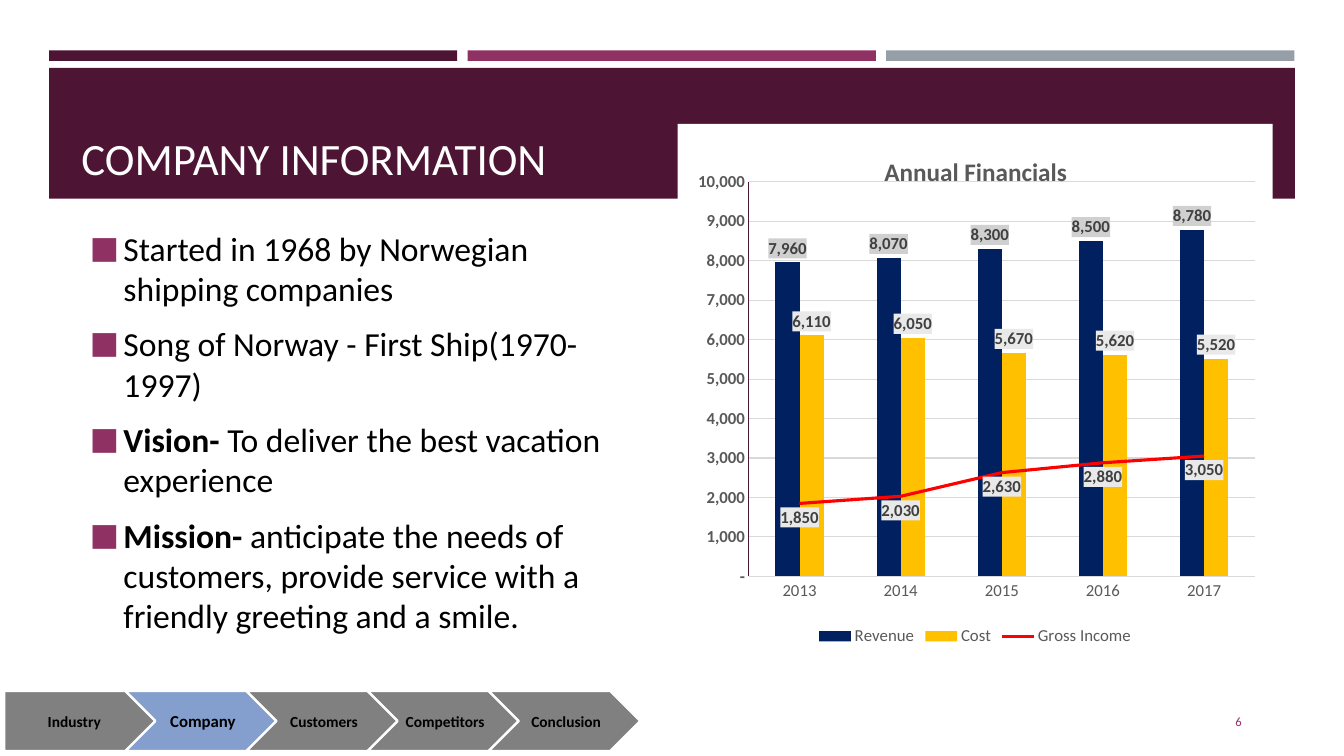
"""Build the company information slide with its financial chart and section tracker."""
from lxml import etree
from pptx import Presentation
from pptx.chart.data import CategoryChartData
from pptx.dml.color import RGBColor
from pptx.enum import chart as charts, shapes, text
from pptx.oxml import parse_xml
from pptx.oxml.ns import nsdecls, qn
from pptx.util import Pt

FONT = "Calibri"
TITLE = "COMPANY INFORMATION"
BULLETS = [
    ("", "Started in 1968 by Norwegian shipping companies"),
    ("", "Song of Norway - First Ship(1970-1997)"),
    ("Vision-", " To deliver the best vacation experience"),
    ("Mission-", " anticipate the needs of customers, provide service with a friendly greeting and a smile."),
]
PAGE_NUMBER = "6"
BAND_COLORS = ["4D1434", "903163", "969FA7"]
SECTIONS = ["Industry", "Company", "Customers", "Competitors", "Conclusion"]
CURRENT_SECTION = "Company"
CHART_TITLE = "Annual Financials"
YEARS = ["2013", "2014", "2015", "2016", "2017"]
SERIES = [
    ("Revenue", [7960, 8070, 8300, 8500, 8780], "002060", "D0D0D0"),
    ("Cost", [6110, 6050, 5670, 5620, 5520], "FFC000", "E9E9E9"),
    ("Gross Income", [1850, 2030, 2630, 2880, 3050], "FF0000", "E9E9E9"),
]


def paint(color_holder, color):
    if hasattr(color_holder, "solid"):
        color_holder.solid()
        color_holder = color_holder.fore_color
    else:
        color_holder = color_holder.color
    color_holder.rgb = RGBColor.from_string(color)


def style(font, size, color, bold=False):
    font.name, font.size, font.bold = FONT, Pt(size), bold
    paint(font, color)


def place(shape, left, top, width, height):
    shape.left, shape.top, shape.width, shape.height = map(Pt, (left, top, width, height))


def add_block(slide, kind, left, top, width, height, color):
    shape = slide.shapes.add_shape(kind, Pt(left), Pt(top), Pt(width), Pt(height))
    shape.shadow.inherit = False
    paint(shape.fill, color)
    shape.line.fill.background()
    return shape


def add_header(slide):
    rectangle = shapes.MSO_SHAPE.RECTANGLE
    blocks = [add_block(slide, rectangle, 35 + 299 * index, 36, 291.6, 7.5, color)
              for index, color in enumerate(BAND_COLORS)]
    blocks.append(add_block(slide, rectangle, 35, 48.5, 890, 93.5, BAND_COLORS[0]))
    for block in blocks:
        slide.shapes.element.insert(2, block.element)
    title = slide.shapes.title
    place(title, 51, 17.5, 399, 118)
    frame = title.text_frame
    frame.text = TITLE
    frame.auto_size = text.MSO_AUTO_SIZE.NONE
    frame.vertical_anchor = text.MSO_ANCHOR.BOTTOM
    frame.paragraphs[0].alignment = text.PP_ALIGN.LEFT
    style(frame.paragraphs[0].runs[0].font, 32, "FFFFFF")


def add_bullets(slide):
    body = slide.placeholders[1]
    place(body, 57, 153.5, 400, 309.5)
    frame = body.text_frame
    frame.auto_size = text.MSO_AUTO_SIZE.NONE
    frame.vertical_anchor = text.MSO_ANCHOR.MIDDLE
    for index, (lead, rest) in enumerate(BULLETS):
        paragraph = frame.paragraphs[0] if index == 0 else frame.add_paragraph()
        for words, bold in ((lead, True), (rest, False)):
            if words:
                run = paragraph.add_run()
                run.text = words
                style(run.font, 24, "000000", bold)
        paragraph.space_after = Pt(6)
        properties = paragraph._p.get_or_add_pPr()
        properties.set("marL", str(Pt(24)))
        properties.set("indent", str(-Pt(24)))
        color = etree.SubElement(properties, qn("a:buClr"))
        etree.SubElement(color, qn("a:srgbClr"), val="903163")
        etree.SubElement(properties, qn("a:buSzPct"), val="92000")
        etree.SubElement(properties, qn("a:buFont"), typeface=FONT)
        etree.SubElement(properties, qn("a:buChar"), char="■")


def manual_layout(x, y, size=None, inner=False):
    parts = [("layoutTarget", "inner")] if inner else []
    parts += [("xMode", "edge"), ("yMode", "edge"), ("x", x), ("y", y)]
    parts += zip("wh", size or ())
    body = "".join(f'<c:{name} val="{value}"/>' for name, value in parts)
    return parse_xml(f'<c:layout {nsdecls("c")}><c:manualLayout>{body}</c:manualLayout></c:layout>')


def remove_children(parent, tag):
    for child in parent.findall(qn(tag)):
        parent.remove(child)


def move_last_series_to_line(chart):
    bar_plot = chart.plots[0]._element
    series = bar_plot.findall(qn("c:ser"))[-1]
    line_plot = parse_xml(f'<c:lineChart {nsdecls("c")}><c:grouping val="standard"/>'
                          '<c:varyColors val="0"/><c:marker val="1"/></c:lineChart>')
    remove_children(series, "c:invertIfNegative")
    line_plot.insert(2, series)
    for axis in bar_plot.findall(qn("c:axId")):
        etree.SubElement(line_plot, qn("c:axId"), val=axis.get("val"))
    bar_plot.addnext(line_plot)


def add_labels(series, position, fill):
    labels = series.data_labels
    labels.show_value = True
    labels.number_format, labels.number_format_is_linked = "#,##0", False
    labels.position = position
    style(labels.font, 12, "404040", True)
    box = parse_xml(f'<c:spPr {nsdecls("c", "a")}><a:solidFill><a:srgbClr val="{fill}"/>'
                    '</a:solidFill></c:spPr>')
    labels._element.find(qn("c:txPr")).addprevious(box)


def format_axes(chart):
    category, value = chart.category_axis, chart.value_axis
    for axis, color, bold in ((category, "D9D9D9", False), (value, "481831", True)):
        axis.major_tick_mark = axis.minor_tick_mark = charts.XL_TICK_MARK.NONE
        style(axis.tick_labels.font, 12, "595959", bold)
        paint(axis.format.line, color)
        axis.format.line.width = Pt(0.75)
    value.minimum_scale, value.maximum_scale, value.major_unit = 0, 10000, 1000
    value.tick_labels.number_format = '#,##0;(#,##0);"-"'
    value.tick_labels.number_format_is_linked = False
    paint(value.major_gridlines.format.line, "D9D9D9")
    value.major_gridlines.format.line.width = Pt(0.75)


def add_financials(slide):
    data = CategoryChartData(number_format="#,##0")
    data.categories = YEARS
    for name, values, *_ in SERIES:
        data.add_series(name, values)
    chart = slide.shapes.add_chart(charts.XL_CHART_TYPE.COLUMN_CLUSTERED, Pt(484), Pt(88.5),
                                   Pt(425), Pt(376), data).chart
    style(chart.font, 10, "000000")
    chart.has_title = True
    title = chart.chart_title
    title.text_frame.text = CHART_TITLE
    style(title.text_frame.paragraphs[0].runs[0].font, 18, "595959", True)
    remove_children(title._element, "c:layout")
    title._element.find(qn("c:tx")).addnext(manual_layout(0.34, 0.05))
    chart.has_legend = True
    chart.legend.position = charts.XL_LEGEND_POSITION.BOTTOM
    chart.legend.include_in_layout = False
    style(chart.legend.font, 12, "595959")
    format_axes(chart)
    chart.plots[0].gap_width, chart.plots[0].overlap = 219, 0
    chart.plots[0].vary_by_categories = False
    move_last_series_to_line(chart)
    columns, line = chart.plots
    bars, income = list(columns.series), line.series[0]
    for series, (_, _, color, label_fill) in zip(bars, SERIES):
        paint(series.format.fill, color)
        add_labels(series, charts.XL_LABEL_POSITION.OUTSIDE_END, label_fill)
    _, _, color, label_fill = SERIES[-1]
    paint(income.format.line, color)
    income.format.line.width = Pt(2.25)
    income.marker.style = charts.XL_MARKER_STYLE.NONE
    income.smooth = False
    add_labels(income, charts.XL_LABEL_POSITION.BELOW, label_fill)
    plot_area = columns._element.getparent()
    remove_children(plot_area, "c:layout")
    plot_area.insert(0, manual_layout(0.12, 0.11, (0.85, 0.75), inner=True))
    background = parse_xml(f'<c:spPr {nsdecls("c", "a")}><a:solidFill><a:srgbClr val="FFFFFF"/>'
                           '</a:solidFill><a:ln><a:noFill/></a:ln></c:spPr>')
    chart._chartSpace.find(qn("c:chart")).addnext(background)


def add_tracker(slide):
    for index, section in enumerate(SECTIONS):
        kind = shapes.MSO_SHAPE.CHEVRON if index else shapes.MSO_SHAPE.PENTAGON
        current = section == CURRENT_SECTION
        arrow = add_block(slide, kind, 3 + 86.5 * index, 493.5, 108.5, 43,
                          "849ECD" if current else "808080")
        paint(arrow.line, "FFFFFF")
        arrow.line.width = Pt(1.75)
        frame = arrow.text_frame
        frame.text = section
        frame.margin_left, frame.margin_right = Pt(4), Pt(1.5)
        frame.vertical_anchor = text.MSO_ANCHOR.MIDDLE
        frame.paragraphs[0].alignment = text.PP_ALIGN.CENTER
        style(frame.paragraphs[0].runs[0].font, 12 if current else 11, "000000", True)


def add_page_number(slide):
    frame = slide.shapes.add_textbox(Pt(836.5), Pt(500.5), Pt(57.5), Pt(29)).text_frame
    frame.text, frame.word_wrap = PAGE_NUMBER, True
    frame.vertical_anchor = text.MSO_ANCHOR.MIDDLE
    frame.paragraphs[0].alignment = text.PP_ALIGN.RIGHT
    style(frame.paragraphs[0].runs[0].font, 9, "903163")


presentation = Presentation()
presentation.slide_width, presentation.slide_height = Pt(960), Pt(540)
main_slide = presentation.slides.add_slide(presentation.slide_layouts[1])
for add_part in (add_header, add_bullets, add_page_number, add_financials, add_tracker):
    add_part(main_slide)
presentation.save("out.pptx")
